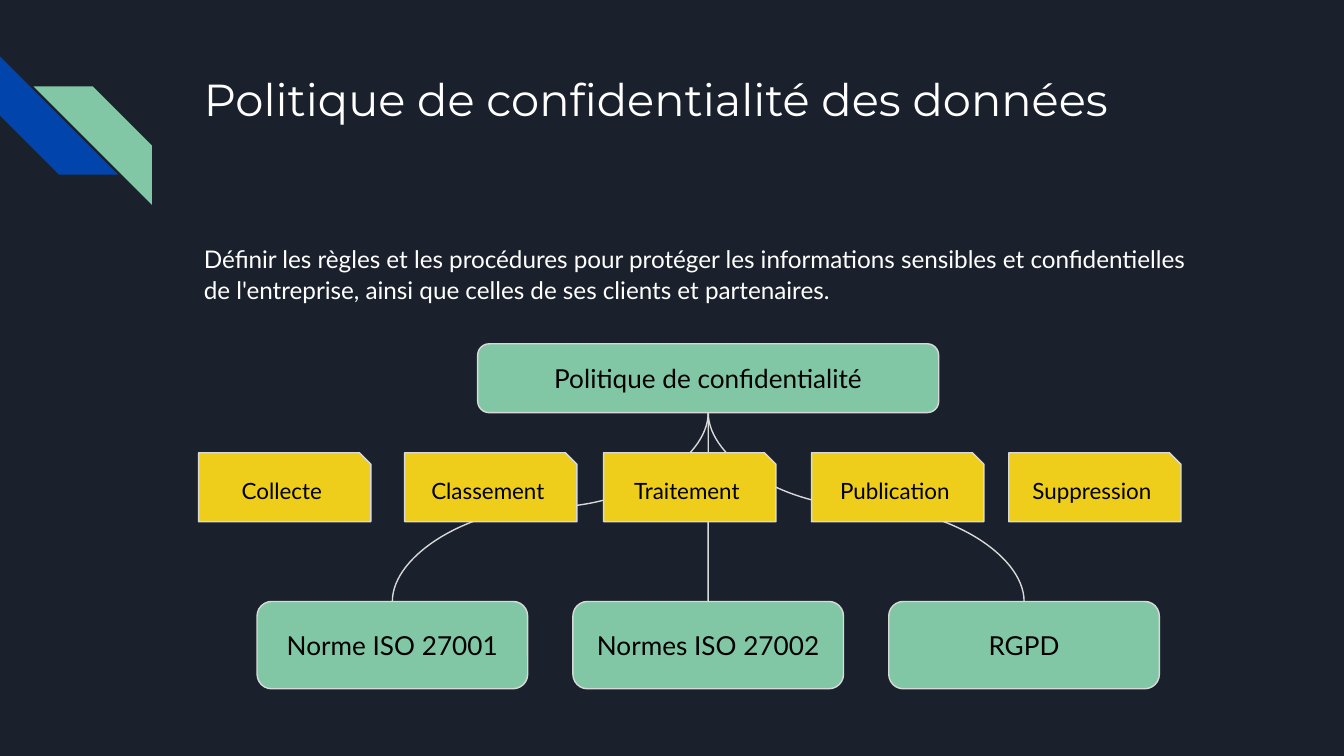
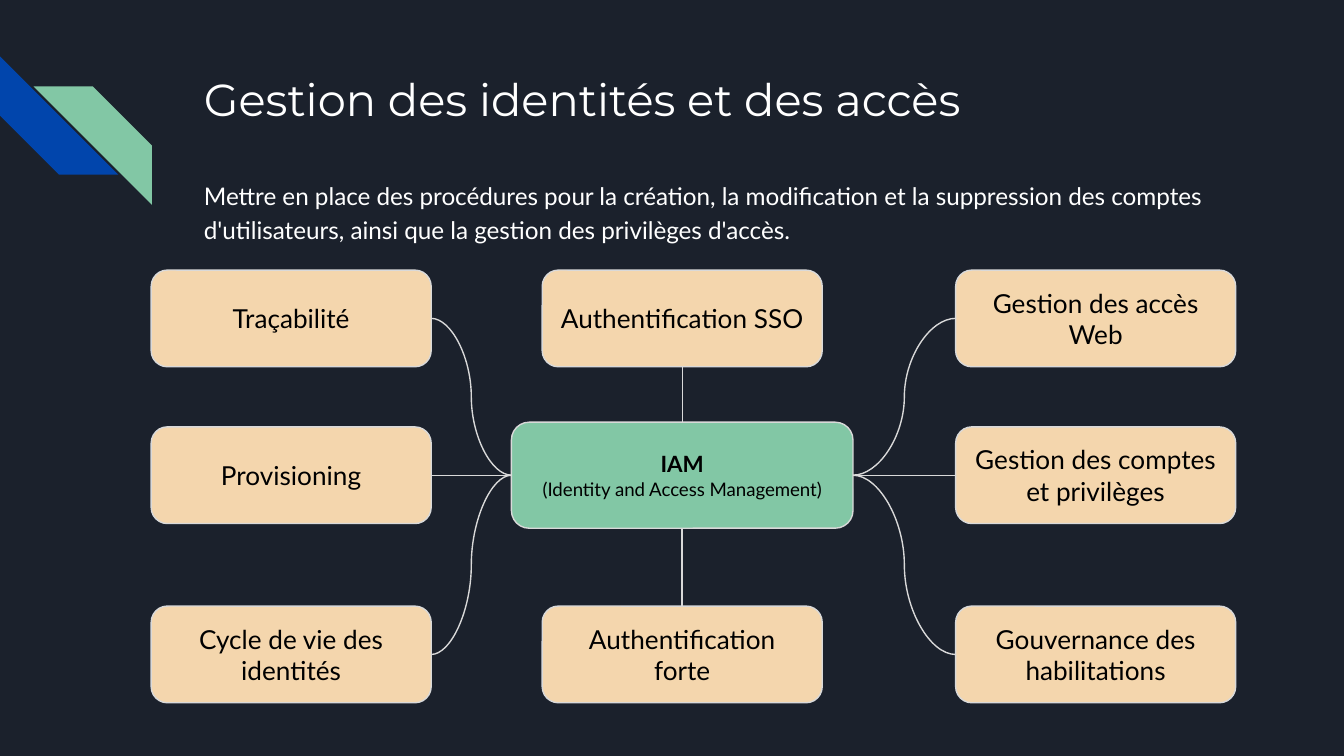
from collections import namedtuple

from pptx import Presentation
from pptx.dml.color import RGBColor
from pptx.enum.shapes import MSO_CONNECTOR as Connector, MSO_SHAPE as Shape
from pptx.enum.text import MSO_ANCHOR as Anchor, PP_ALIGN as Align
from pptx.oxml.ns import qn
from pptx.oxml.xmlchemy import OxmlElement
from pptx.util import Pt

Box = namedtuple("Box", "left top width height")

NAVY, BLUE, GREEN, YELLOW, SAND = "1B212C", "0145AC", "82C7A5", "EECE1A", "F4D6AD"
WHITE, BLACK, GREY = "FFFFFF", "000000", "D9D9D9"
HEADING_FONT, BODY_FONT = "Montserrat", "Lato"
TOP, LEFT, BOTTOM, RIGHT = range(4)

HEADING = Box(102.2, 31, 554.4, 72)
STRIPES = Box(0, 30.2, 81.4, 79.5)
FRAME = {f"margin_{side}": Pt(7.2) for side in ("left", "top", "right", "bottom")}
FRAME["word_wrap"] = True


def rgb(value):
    return RGBColor.from_string(value)


def apply(target, values):
    for name, value in values.items():
        setattr(target, name, value)


def points(box):
    return [Pt(value) for value in box]


def write(shape, lines, color, font=BODY_FONT, anchor=Anchor.TOP, **layout):
    frame = shape.text_frame
    apply(frame, {**FRAME, "vertical_anchor": anchor})
    for index, (text, size, bold) in enumerate(lines):
        paragraph = frame.add_paragraph() if index else frame.paragraphs[0]
        apply(paragraph, layout)
        run = paragraph.add_run()
        run.text = text
        apply(run.font, {"name": font, "size": Pt(size), "bold": bold})
        run.font.color.rgb = rgb(color)


def add_filled(slide, kind, box, fill):
    shape = slide.shapes.add_shape(kind, *points(box))
    shape.shadow.inherit = False
    shape.fill.solid()
    shape.fill.fore_color.rgb = rgb(fill)
    shape.line.fill.background()
    return shape


def add_node(slide, kind, box, fill, *lines):
    shape = add_filled(slide, kind, box, fill)
    shape.line.color.rgb = rgb(GREY)
    shape.line.width = Pt(0.75)
    write(shape, lines, BLACK, anchor=Anchor.MIDDLE, alignment=Align.CENTER)
    return shape


def add_curve(slide, start, start_side, end, end_side):
    connector = slide.shapes.add_connector(Connector.CURVE, 0, 0, 0, 0)
    connector.begin_connect(start, start_side)
    connector.end_connect(end, end_side)
    connector.line.color.rgb = rgb(GREY)
    connector.line.width = Pt(0.75)
    properties = connector._element.spPr
    properties.append(OxmlElement("a:effectLst"))
    if start_side in (TOP, BOTTOM):
        turn_upright(connector, properties.find(qn("a:xfrm")))


def turn_upright(connector, transform):
    across = connector.end_x - connector.begin_x
    down = connector.end_y - connector.begin_y
    center_x = (connector.begin_x + connector.end_x) // 2
    center_y = (connector.begin_y + connector.end_y) // 2
    to_left = across < 0 < down
    apply(connector, {
        "left": center_x - abs(down) // 2,
        "top": center_y - abs(across) // 2,
        "width": abs(down),
        "height": abs(across),
    })
    transform.set("rot", str((90 if to_left else 270) * 60000))
    transform.set("flipH", "1" if down > 0 and not to_left else "0")
    transform.set("flipV", "0")


def add_stripes(slide, box):
    size = 63.4
    blue = add_filled(slide, Shape.DIAGONAL_STRIPE, Box(box.left, box.top, size, size), BLUE)
    blue.rotation = 270
    corner = Box(box.left + box.width - size, box.top + box.height - size, size, size)
    green = add_filled(slide, Shape.DIAGONAL_STRIPE, corner, GREEN)
    green._element.spPr.find(qn("a:xfrm")).set("flipH", "1")


def add_slide(presentation, title, body, body_box, line_spacing):
    slide = presentation.slides.add_slide(presentation.slide_layouts[6])
    slide.background.fill.solid()
    slide.background.fill.fore_color.rgb = rgb(NAVY)
    add_stripes(slide, STRIPES)
    heading = slide.shapes.add_textbox(*points(HEADING))
    write(heading, [(title, 24, False)], WHITE, HEADING_FONT)
    text = slide.shapes.add_textbox(*points(body_box))
    write(text, [(body, 13, False)], WHITE, line_spacing=line_spacing, space_after=Pt(12))
    return slide


def add_policy_tree(slide, box):
    standard_width, standard_height, standard_step = 145, 46.8, 169.2
    standards = [
        add_node(
            slide, Shape.ROUNDED_RECTANGLE,
            Box(box.left + 31.3 + index * standard_step,
                box.top + box.height - standard_height, standard_width, standard_height),
            GREEN, (name, 14, False))
        for index, name in enumerate(("Norme ISO 27001", "Normes ISO 27002", "RGPD"))
    ]
    policy = add_node(
        slide, Shape.ROUNDED_RECTANGLE, Box(box.left + 149.5, box.top, 247, 36.9),
        GREEN, ("Politique de confidentialité", 14, False))
    for standard in standards:
        add_curve(slide, policy, BOTTOM, standard, TOP)

    steps = {"Collecte": 0, "Classement": 110.4, "Traitement": 217,
             "Publication": 328.4, "Suppression": 434}
    for name, offset in steps.items():
        add_node(slide, Shape.SNIP_1_RECTANGLE,
                 Box(box.left + offset, box.top + 58.4, 92.3, 36.9),
                 YELLOW, (name, 12, False))


def add_identity_map(slide, box):
    width, height = 150, 51.8
    columns = (0, 209.5, box.width - width)
    rows = (0, 84, box.height - height)
    hub = add_node(
        slide, Shape.ROUNDED_RECTANGLE, Box(box.left + 193, box.top + 81.5, 183, 56.8),
        GREEN, ("IAM", 12, True), ("(Identity and Access Management)", 10, False))
    functions = (
        ("Traçabilité", 0, 0, LEFT, RIGHT),
        ("Authentification SSO", 1, 0, TOP, BOTTOM),
        ("Gestion des accès Web", 2, 0, RIGHT, LEFT),
        ("Gestion des comptes et privilèges", 2, 1, RIGHT, LEFT),
        ("Gouvernance des habilitations", 2, 2, RIGHT, LEFT),
        ("Authentification forte", 1, 2, BOTTOM, TOP),
        ("Cycle de vie des identités", 0, 2, LEFT, RIGHT),
        ("Provisioning", 0, 1, LEFT, RIGHT),
    )
    for name, column, row, hub_side, side in functions:
        node = add_node(
            slide, Shape.ROUNDED_RECTANGLE,
            Box(box.left + columns[column], box.top + rows[row], width, height),
            SAND, (name, 14, False))
        add_curve(slide, hub, hub_side, node, side)


def main():
    presentation = Presentation()
    apply(presentation, {"slide_width": Pt(720), "slide_height": Pt(405)})

    policy = add_slide(
        presentation, "Politique de confidentialité des données",
        "Définir les règles et les procédures pour protéger les informations sensibles "
        "et confidentielles de l'entreprise, ainsi que celles de ses clients et partenaires.",
        Box(102.2, 123.1, 554.4, 46.8), 1.05)
    add_policy_tree(policy, Box(106.4, 184.2, 526.3, 184.8))

    identity = add_slide(
        presentation, "Gestion des identités et des accès",
        "Mettre en place des procédures pour la création, la modification et la suppression "
        "des comptes d'utilisateurs, ainsi que la gestion des privilèges d'accès.",
        Box(102.2, 87.8, 554.4, 51.8), 1.15)
    add_identity_map(identity, Box(81, 144.7, 581, 231.8))

    presentation.save("out.pptx")


if __name__ == "__main__":
    main()
